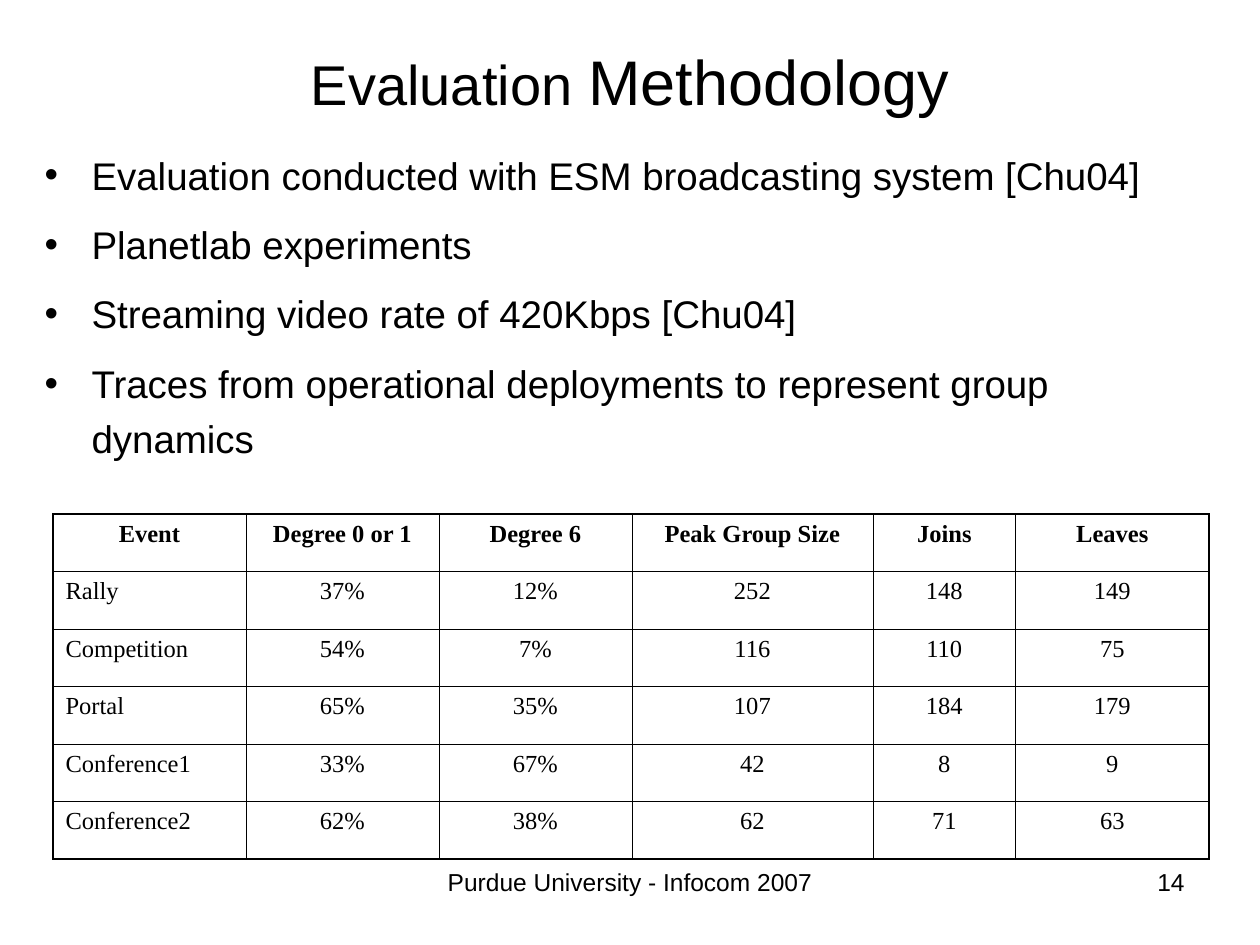
from dataclasses import dataclass

import pptx
import pptx.dml.color
import pptx.enum.text
import pptx.oxml
import pptx.oxml.ns
import pptx.util

EMU_PER_PX = 914400 / 126
ALIGN = pptx.enum.text.PP_ALIGN
ANCHOR = pptx.enum.text.MSO_ANCHOR
NAMESPACE = pptx.oxml.ns.nsdecls("a")

BULLETS = [
    "Evaluation conducted with ESM broadcasting system [Chu04]",
    "Planetlab experiments",
    "Streaming video rate of 420Kbps [Chu04]",
    "Traces from operational deployments to represent group dynamics",
]
EVENTS = [
    ["Event", "Degree 0 or 1", "Degree 6", "Peak Group Size", "Joins", "Leaves"],
    ["Rally", "37%", "12%", "252", "148", "149"],
    ["Competition", "54%", "7%", "116", "110", "75"],
    ["Portal", "65%", "35%", "107", "184", "179"],
    ["Conference1", "33%", "67%", "42", "8", "9"],
    ["Conference2", "62%", "38%", "62", "71", "63"],
]
COLUMN_WIDTHS = [193, 193, 193, 241, 143, 193]


@dataclass(frozen=True)
class Theme:
    ink: str = "000000"
    paper: str = "FFFFFF"
    sans: str = "Arial"
    serif: str = "Times New Roman"
    title_size: int = 32
    title_large_size: int = 36
    body_size: int = 22
    small_size: int = 14
    outer_line: float = 1.08
    inner_line: float = 0.45


def px(length):
    return pptx.util.Emu(round(length * EMU_PER_PX))


def add_text(paragraph, text, *, size, font, color, bold=False, align=ALIGN.LEFT):
    paragraph.alignment = align
    run = paragraph.add_run()
    run.text = text
    run.font.size = pptx.util.Pt(size)
    run.font.name = font
    run.font.bold = bold
    run.font.color.rgb = pptx.dml.color.RGBColor.from_string(color)


def add_bullet(paragraph, color, indent):
    properties = paragraph._p.get_or_add_pPr()
    properties.set("marL", str(px(indent)))
    properties.set("indent", str(-px(indent)))
    for element in (
        f'<a:buClr {NAMESPACE}><a:srgbClr val="{color}"/></a:buClr>',
        f'<a:buFont {NAMESPACE} typeface="Arial"/>',
        f'<a:buChar {NAMESPACE} char="•"/>',
    ):
        properties.append(pptx.oxml.parse_xml(element))


def set_borders(cell, color, widths):
    """Draw the cell's sides; widths maps L, R, T and B to points."""
    properties = cell._tc.get_or_add_tcPr()
    for index, side in enumerate("LRTB"):
        width = pptx.util.Pt(widths[side])
        properties.insert(index, pptx.oxml.parse_xml(
            f'<a:ln{side} {NAMESPACE} w="{width}"><a:solidFill>'
            f'<a:srgbClr val="{color}"/></a:solidFill></a:ln{side}>'))


class SlideBuilder:
    """Holds the theme and the current slide."""

    def __init__(self, slide, theme):
        self.slide = slide
        self.theme = theme

    def place(self, shape, left, top, width, height, anchor=ANCHOR.TOP):
        shape.left, shape.top = px(left), px(top)
        shape.width, shape.height = px(width), px(height)
        frame = shape.text_frame
        frame.word_wrap = True
        frame.auto_size = pptx.enum.text.MSO_AUTO_SIZE.NONE
        frame.vertical_anchor = anchor
        return frame

    def title(self, parts, *box):
        frame = self.place(self.slide.shapes.title, *box, anchor=ANCHOR.MIDDLE)
        paragraph = frame.paragraphs[0]
        paragraph.line_spacing = 1.54
        for text, size in parts:
            add_text(paragraph, text, size=size, font=self.theme.sans,
                     color=self.theme.ink, align=ALIGN.CENTER)

    def bullets(self, items, *box):
        frame = self.place(self.slide.placeholders[1], *box)
        for index, item in enumerate(items):
            paragraph = frame.add_paragraph() if index else frame.paragraphs[0]
            add_bullet(paragraph, self.theme.ink, indent=47)
            paragraph.line_spacing = 1.2
            paragraph.space_before = pptx.util.Pt(8 if index else 0)
            add_text(paragraph, item, size=self.theme.body_size,
                     font=self.theme.sans, color=self.theme.ink)

    def table(self, rows, column_widths, left, top, height):
        theme = self.theme
        last_row, last_column = len(rows) - 1, len(column_widths) - 1
        table = self.slide.shapes.add_table(
            len(rows), len(column_widths), px(left), px(top),
            px(sum(column_widths)), px(height)).table
        table.first_row = table.horz_banding = False
        for column, width in zip(table.columns, column_widths):
            column.width = px(width)
        for r, values in enumerate(rows):
            table.rows[r].height = px(height / len(rows))
            for c, value in enumerate(values):
                cell = table.cell(r, c)
                cell.fill.solid()
                cell.fill.fore_color.rgb = pptx.dml.color.RGBColor.from_string(theme.paper)
                is_label = c == 0 and r > 0
                add_text(cell.text_frame.paragraphs[0], value,
                         size=theme.small_size, font=theme.serif, color=theme.ink,
                         bold=r == 0, align=ALIGN.LEFT if is_label else ALIGN.CENTER)
                outer = {"L": c == 0, "R": c == last_column,
                         "T": r == 0, "B": r == last_row}
                set_borders(cell, theme.ink, {
                    side: theme.outer_line if is_outer else theme.inner_line
                    for side, is_outer in outer.items()})

    def footer(self, text, align, *box):
        shape = self.slide.shapes.add_textbox(0, 0, 0, 0)
        frame = self.place(shape, *box)
        add_text(frame.paragraphs[0], text, size=self.theme.small_size,
                 font=self.theme.sans, color=self.theme.ink, align=align)


def main():
    presentation = pptx.Presentation()
    presentation.slide_width = px(1260)
    presentation.slide_height = px(945)
    theme = Theme()
    slide = presentation.slides.add_slide(presentation.slide_layouts[1])
    builder = SlideBuilder(slide, theme)
    builder.title([("Evaluation ", theme.title_size),
                   ("Methodology", theme.title_large_size)], 63, 16, 1134, 88)
    builder.bullets(BULLETS, 32, 136, 1187, 347)
    builder.table(EVENTS, COLUMN_WIDTHS, left=53, top=514, height=345)
    builder.footer("Purdue University - Infocom 2007", ALIGN.CENTER, 431, 861, 398, 66)
    builder.footer("14", ALIGN.RIGHT, 903, 861, 294, 66)
    presentation.save("out.pptx")


if __name__ == "__main__":
    main()
